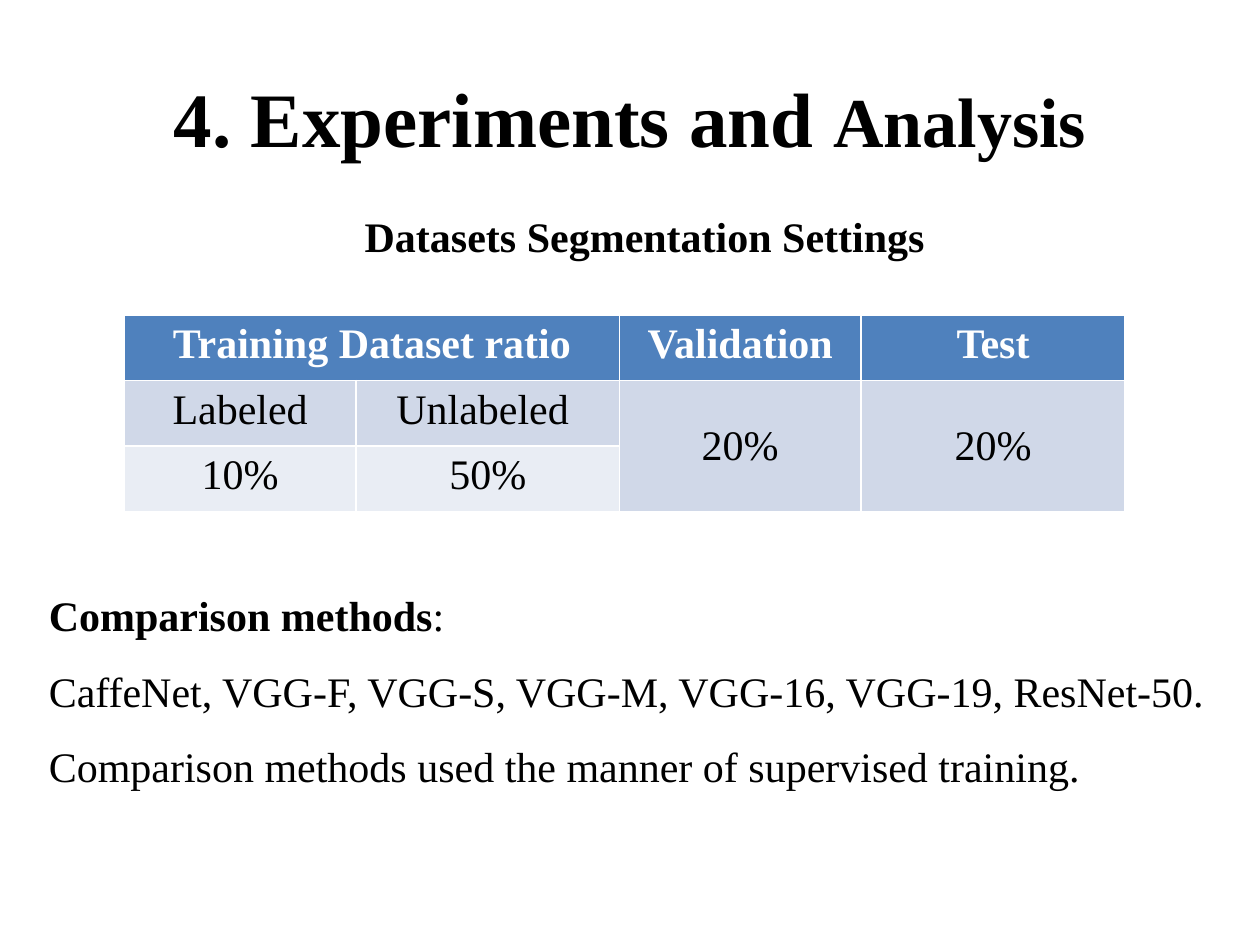
from dataclasses import dataclass

from pptx import Presentation
from pptx.dml.color import RGBColor
from pptx.enum.text import MSO_ANCHOR, MSO_AUTO_SIZE, PP_ALIGN
from pptx.util import Pt

CENTER = PP_ALIGN.CENTER
MIDDLE = MSO_ANCHOR.MIDDLE
TOP = MSO_ANCHOR.TOP
FIT_SHAPE = MSO_AUTO_SIZE.SHAPE_TO_FIT_TEXT
NO_FIT = MSO_AUTO_SIZE.NONE

FONT = "Times New Roman"
BLACK, WHITE = "000000", "FFFFFF"
HEADER, BAND_DARK, BAND_LIGHT = "4F81BD", "D0D8E8", "E9EDF4"
TITLE_ONLY = 5
TEXT_SIZE = 24


@dataclass
class TextRun:
    text: str
    size: float = TEXT_SIZE
    bold: bool = False
    color: str = BLACK


@dataclass
class TableCell:
    row: int
    column: int
    text: str
    fill: str
    row_span: int = 1
    column_span: int = 1


COLUMN_WIDTHS = [132.5, 150.5, 138, 151]
ROW_HEIGHT = 37.5
ROW_COUNT = 3
CELLS = [
    TableCell(0, 0, "Training Dataset ratio", HEADER, column_span=2),
    TableCell(0, 2, "Validation", HEADER),
    TableCell(0, 3, "Test", HEADER),
    TableCell(1, 0, "Labeled", BAND_DARK),
    TableCell(1, 1, "Unlabeled ", BAND_DARK),
    TableCell(1, 2, "20%", BAND_DARK, row_span=2),
    TableCell(1, 3, "20%", BAND_DARK, row_span=2),
    TableCell(2, 0, "10%", BAND_LIGHT),
    TableCell(2, 1, "50%", BAND_LIGHT),
]
METHODS = [
    [TextRun("Comparison methods", bold=True), TextRun(":")],
    [TextRun("CaffeNet, VGG-F, VGG-S, VGG-M, VGG-16, VGG-19, ResNet-50.")],
    [TextRun("Comparison methods used the manner of supervised training.")],
]


def rgb(color: str) -> RGBColor:
    return RGBColor.from_string(color)


def add_runs(paragraph, text_runs: list[TextRun]) -> None:
    for text_run in text_runs:
        run = paragraph.add_run()
        run.text = text_run.text
        run.font.name = FONT
        run.font.size = Pt(text_run.size)
        run.font.bold = text_run.bold
        run.font.color.rgb = rgb(text_run.color)


def add_title(slide) -> None:
    title = slide.shapes.title
    title.left, title.top, title.width, title.height = Pt(36), Pt(21.6), Pt(648), Pt(90)
    frame = title.text_frame
    frame.auto_size = NO_FIT
    frame.vertical_anchor = MIDDLE
    frame.paragraphs[0].alignment = CENTER
    add_runs(frame.paragraphs[0], [
        TextRun("4. Experiments and ", 44, True),
        TextRun("Analysis", 40, True),
    ])


def add_text_box(slide, left: float, top: float, width: float, height: float,
                 lines: list[list[TextRun]], wrap: bool,
                 line_spacing: float = 1.0, indent: float = 0) -> None:
    frame = slide.shapes.add_textbox(Pt(left), Pt(top), Pt(width), Pt(height)).text_frame
    frame.word_wrap = wrap
    frame.auto_size = FIT_SHAPE
    for index, text_runs in enumerate(lines):
        paragraph = frame.add_paragraph() if index else frame.paragraphs[0]
        paragraph.line_spacing = line_spacing
        if indent:
            # First-line indent
            paragraph._p.get_or_add_pPr().set("indent", str(Pt(indent)))
        add_runs(paragraph, text_runs)


def fill_cell(table, item: TableCell) -> None:
    cell = table.cell(item.row, item.column)
    if item.row_span > 1 or item.column_span > 1:
        cell.merge(table.cell(item.row + item.row_span - 1,
                              item.column + item.column_span - 1))
    cell.fill.solid()
    cell.fill.fore_color.rgb = rgb(item.fill)
    cell.vertical_anchor = MIDDLE if item.row_span > 1 else TOP
    is_header = item.row == 0
    paragraph = cell.text_frame.paragraphs[0]
    paragraph.alignment = CENTER
    add_runs(paragraph, [TextRun(item.text, bold=is_header,
                                 color=WHITE if is_header else BLACK)])


def add_ratio_table(slide, left: float, top: float) -> None:
    # The default table style supplies the white cell borders
    table = slide.shapes.add_table(
        ROW_COUNT, len(COLUMN_WIDTHS), Pt(left), Pt(top),
        Pt(sum(COLUMN_WIDTHS)), Pt(ROW_HEIGHT * ROW_COUNT)).table
    for column, width in zip(table.columns, COLUMN_WIDTHS):
        column.width = Pt(width)
    for row in table.rows:
        row.height = Pt(ROW_HEIGHT)
    for item in CELLS:
        fill_cell(table, item)


def main() -> None:
    presentation = Presentation()
    presentation.slide_width, presentation.slide_height = Pt(720), Pt(540)
    slide = presentation.slides.add_slide(presentation.slide_layouts[TITLE_ONLY])
    slide.background.fill.solid()
    slide.background.fill.fore_color.rgb = rgb(WHITE)

    # Title and table with its heading
    add_title(slide)
    add_ratio_table(slide, 71, 180)
    add_text_box(slide, 201.3, 116.6, 337.7, 36,
                 [[TextRun("Datasets Segmentation Settings", bold=True)]], wrap=False)

    # Comparison methods
    add_text_box(slide, 10.8, 319, 709.2, 138.2, METHODS, wrap=True,
                 line_spacing=1.5, indent=10)
    presentation.save("out.pptx")


if __name__ == "__main__":
    main()
